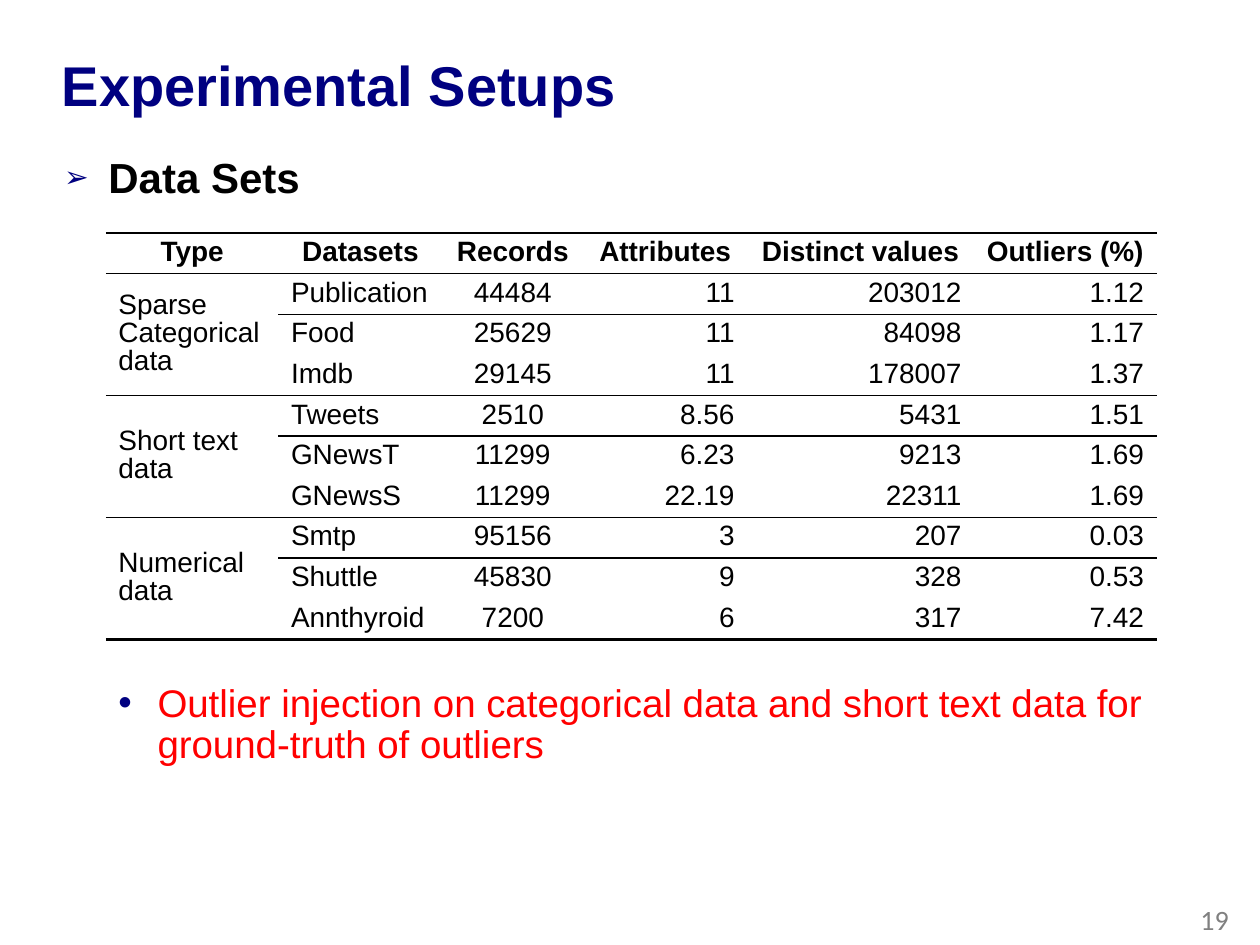
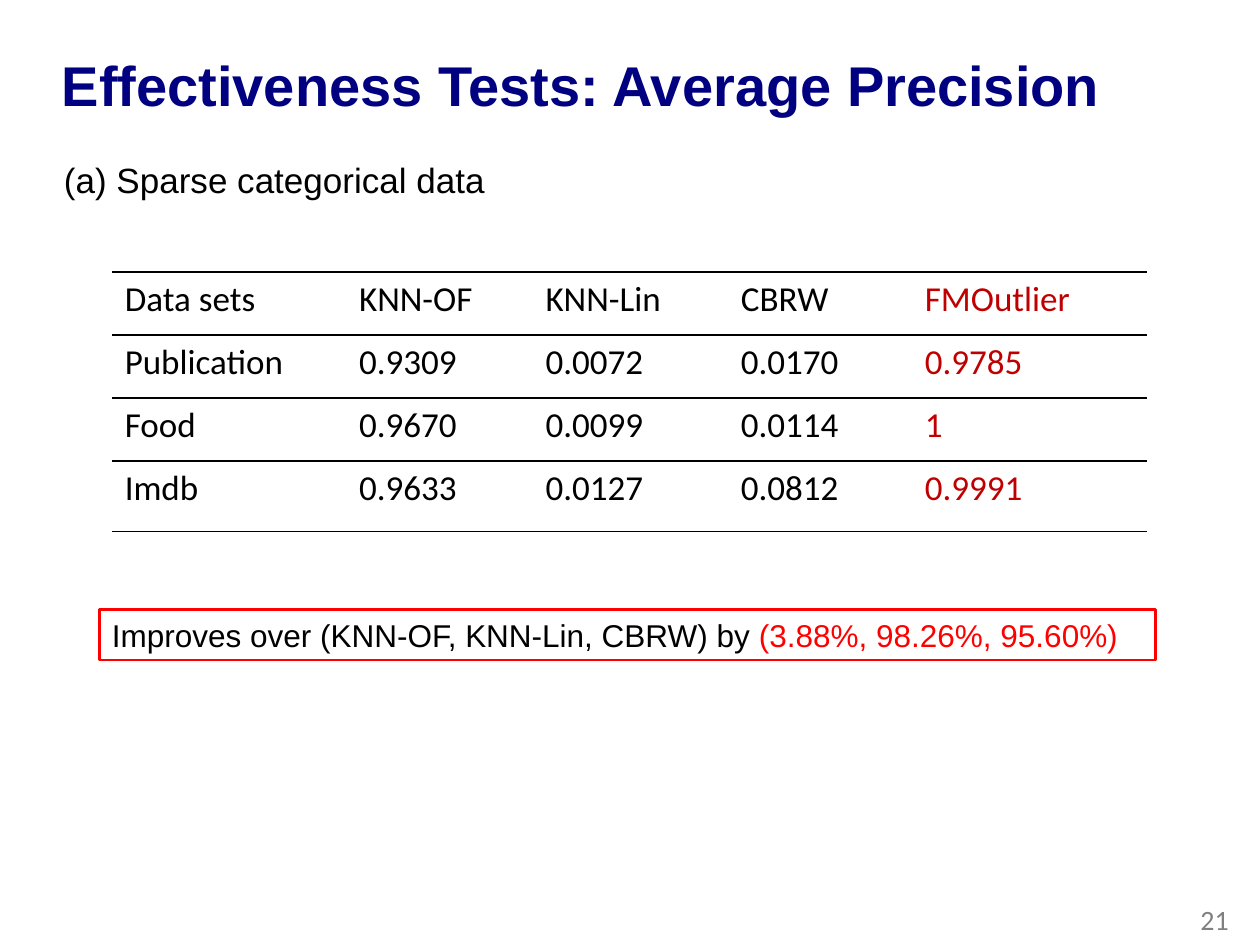
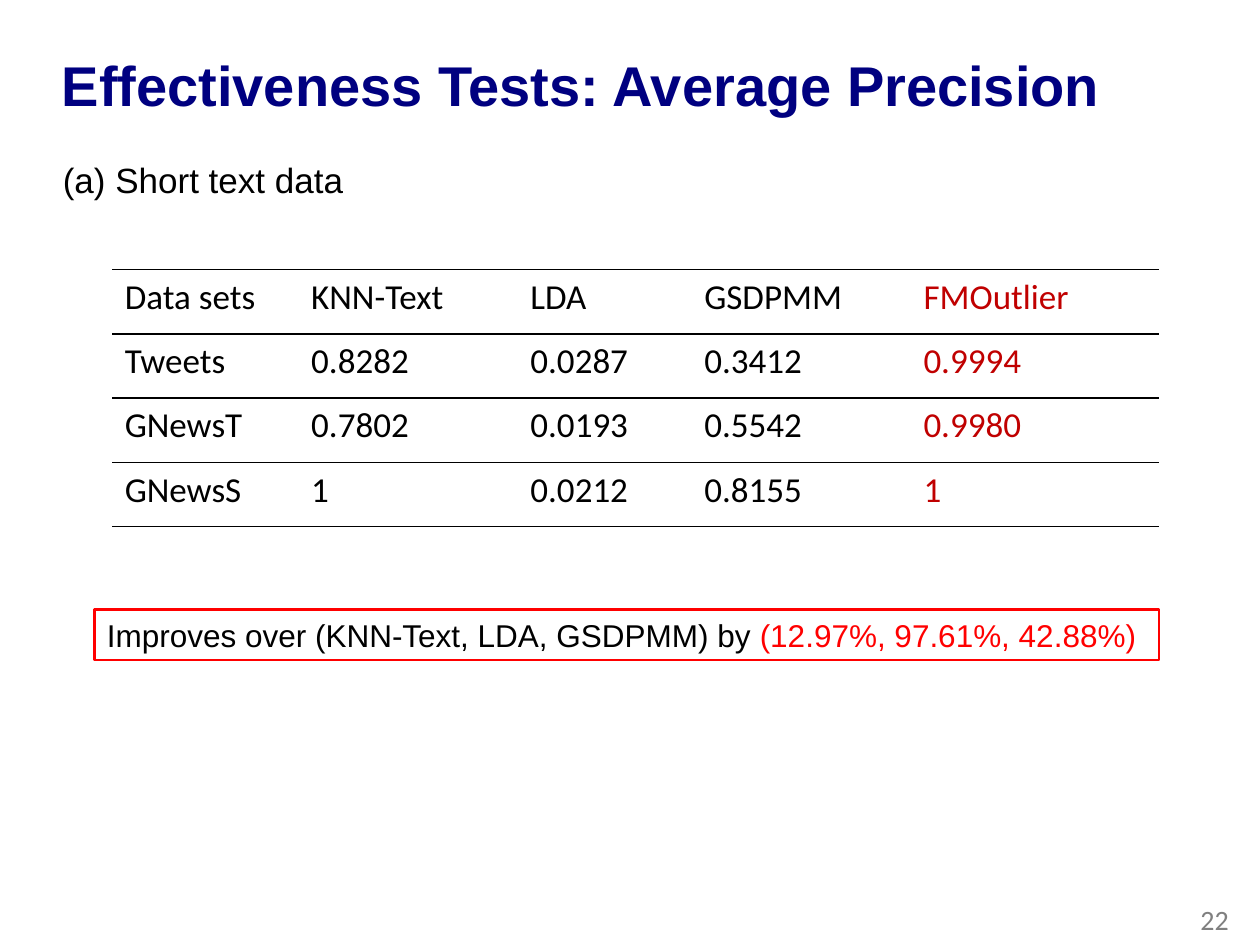
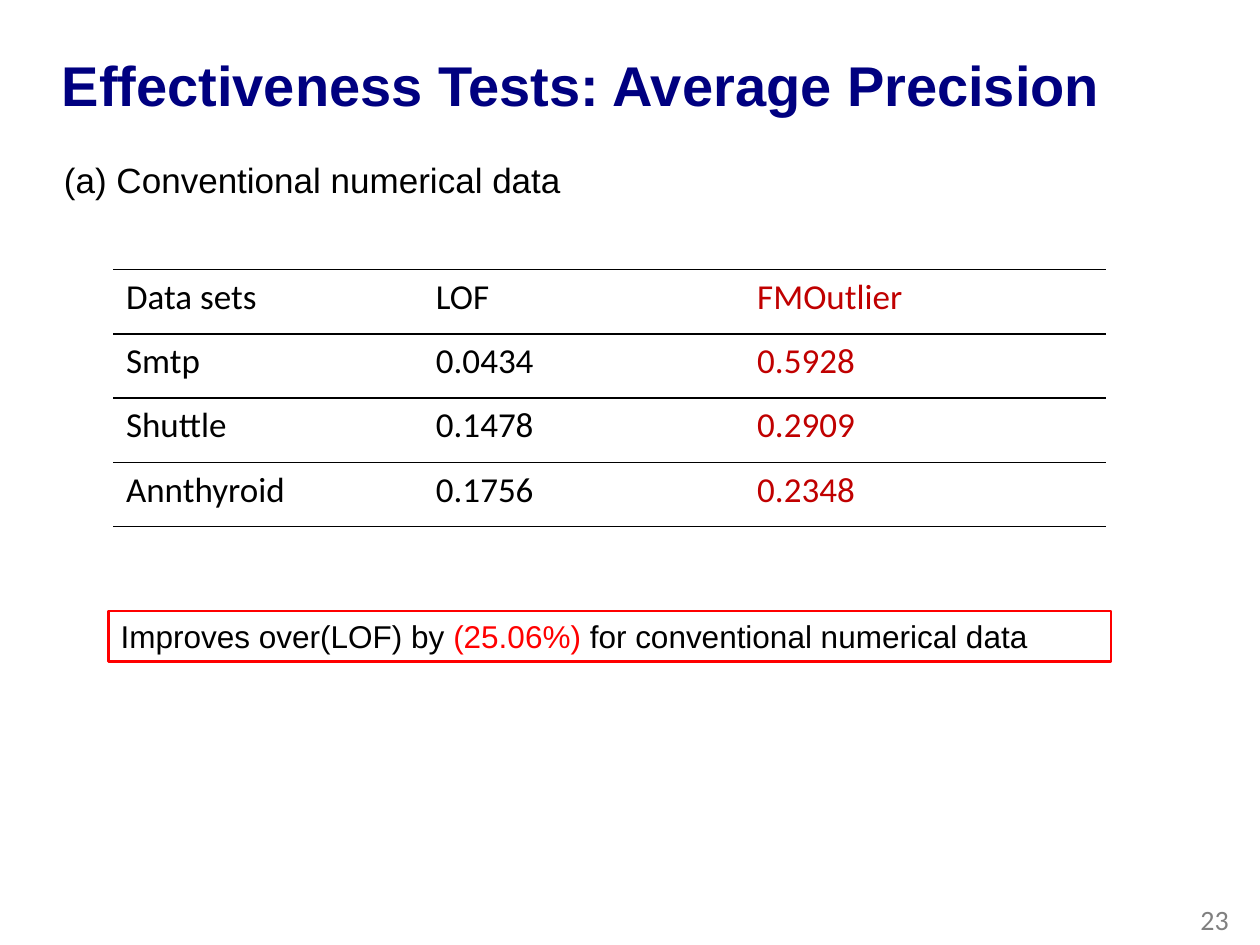
from itertools import takewhile

from lxml import etree
from pptx import Presentation
from pptx.dml.color import RGBColor
from pptx.enum import shapes, text
from pptx.oxml import ns
from pptx.util import Inches, Pt

NAVY = RGBColor(0x00, 0x00, 0x80)
BLACK = RGBColor(0x00, 0x00, 0x00)
RED = RGBColor(0xFF, 0x00, 0x00)
DARK_RED = RGBColor(0xC0, 0x00, 0x00)
GRAY = RGBColor(0x80, 0x80, 0x80)
LEFT, CENTER, RIGHT = text.PP_ALIGN.LEFT, text.PP_ALIGN.CENTER, text.PP_ALIGN.RIGHT
TOP, MIDDLE = text.MSO_ANCHOR.TOP, text.MSO_ANCHOR.MIDDLE
TWO_CONTENT, TITLE_ONLY = 3, 5
NO_STYLE_NO_GRID = "{2D5ABB26-0587-4C30-8999-92F81FD0307C}"

# None continues the cell above
DATA_SETS = [
    ("Type", "Datasets", "Records", "Attributes", "Distinct values", "Outliers (%)"),
    ("Sparse Categorical data", "Publication", "44484", "11", "203012", "1.12"),
    (None, "Food", "25629", "11", "84098", "1.17"),
    (None, "Imdb", "29145", "11", "178007", "1.37"),
    ("Short text data", "Tweets", "2510", "8.56", "5431", "1.51"),
    (None, "GNewsT", "11299", "6.23", "9213", "1.69"),
    (None, "GNewsS", "11299", "22.19", "22311", "1.69"),
    ("Numerical data", "Smtp", "95156", "3", "207", "0.03"),
    (None, "Shuttle", "45830", "9", "328", "0.53"),
    (None, "Annthyroid", "7200", "6", "317", "7.42"),
]
DATA_SET_COLS = [1.37, 1.3, 1.12, 1.3, 1.8, 1.45]
DATA_SET_ALIGNS = [LEFT, LEFT, CENTER, RIGHT, RIGHT, RIGHT]
DATA_SET_RULES = {0: 1.5, 1: 1, 4: 1, 7: 1, 10: 1.5}

PRECISION_TITLE = "Effectiveness Tests: Average Precision"
PRECISION_RULES = {0: 1, 1: 1, 2: 1, 4: 1}
PRECISION_TESTS = [
    dict(page=21, caption="(a) Sparse categorical data", caption_left=0.41,
         at=(0.89, 2.16), cols=[1.86, 1.48, 1.55, 1.46, 1.86],
         heights=[0.5, 0.5, 0.5, 0.56],
         rows=[("Data sets", "KNN-OF", "KNN-Lin", "CBRW", "FMOutlier"),
               ("Publication", "0.9309", "0.0072", "0.0170", "0.9785"),
               ("Food", "0.9670", "0.0099", "0.0114", "1"),
               ("Imdb", "0.9633", "0.0127", "0.0812", "0.9991")],
         box=(0.79, 4.84, 8.38, 0.4),
         finding=[("Improves over (KNN-OF, KNN-Lin, CBRW) by ", BLACK),
                  ("(3.88%, 98.26%, 95.60%)", RED)]),
    dict(page=22, caption="(a) Short text data", caption_left=0.4,
         at=(0.89, 2.14), cols=[1.48, 1.74, 1.38, 1.74, 1.97],
         heights=[0.51] * 4,
         rows=[("Data sets", "KNN-Text", "LDA", "GSDPMM", "FMOutlier"),
               ("Tweets", "0.8282", "0.0287", "0.3412", "0.9994"),
               ("GNewsT", "0.7802", "0.0193", "0.5542", "0.9980"),
               ("GNewsS", "1", "0.0212", "0.8155", "1")],
         box=(0.75, 4.84, 8.45, 0.4),
         finding=[("Improves over (KNN-Text, LDA, GSDPMM) by ", BLACK),
                  ("(12.97%, 97.61%, 42.88%)", RED)]),
    dict(page=23, caption="(a) Conventional numerical data", caption_left=0.41,
         at=(0.9, 2.14), cols=[2.46, 2.55, 2.87],
         heights=[0.51] * 4,
         rows=[("Data sets", "LOF", "FMOutlier"),
               ("Smtp", "0.0434", "0.5928"),
               ("Shuttle", "0.1478", "0.2909"),
               ("Annthyroid", "0.1756", "0.2348")],
         box=(0.86, 4.85, 7.96, 0.4),
         finding=[("Improves over(LOF) by ", BLACK), ("(25.06%) ", RED),
                  ("for conventional numerical data", BLACK)]),
]


def write(tf, runs, size=20, font="Arial", color=BLACK, bold=False,
          align=LEFT, anchor=TOP, spacing=None):
    """Fill the first paragraph; runs is a string or a list of (text, colour)."""
    tf.word_wrap = True
    tf.vertical_anchor = anchor
    p = tf.paragraphs[0]
    p.alignment = align
    p.space_before = Pt(0)
    if spacing:
        p.line_spacing = spacing
    for words, run_color in [(runs, color)] if isinstance(runs, str) else runs:
        r = p.add_run()
        r.text = words
        r.font.name, r.font.size, r.font.bold = font, Pt(size), bold
        r.font.color.rgb = run_color
    return p


def place(sp, *at):
    sp.left, sp.top, sp.width, sp.height = map(Inches, at)
    return sp.text_frame


def add_text(s, at, runs, **fmt):
    return write(s.shapes.add_textbox(*map(Inches, at)).text_frame, runs, **fmt)


def add_list_item(sp, at, words, char, margin, hang, bullet_size=100, **fmt):
    tf = place(sp, *at)
    tf.auto_size = text.MSO_AUTO_SIZE.NONE
    p = write(tf, words, spacing=0.9, **fmt)
    pPr = p._p.get_or_add_pPr()
    pPr.set("marL", str(Inches(margin)))
    pPr.set("indent", str(-Inches(hang)))
    color = etree.SubElement(pPr, ns.qn("a:buClr"))
    etree.SubElement(color, ns.qn("a:srgbClr"), val=str(NAVY))
    etree.SubElement(pPr, ns.qn("a:buSzPct"), val=str(bullet_size * 1000))
    etree.SubElement(pPr, ns.qn("a:buFont"), typeface="Arial")
    etree.SubElement(pPr, ns.qn("a:buChar"), char=char)


def add_border(cell, side, width):
    ln = etree.SubElement(cell._tc.get_or_add_tcPr(), ns.qn("a:" + side), w=str(Pt(width)))
    fill = etree.SubElement(ln, ns.qn("a:solidFill"))
    etree.SubElement(fill, ns.qn("a:srgbClr"), val=str(BLACK))


def add_ruled_table(s, at, cols, heights, rows, rules, cell_format):
    """rules maps a row edge to its line width; cell_format(row, col) gives text options."""
    size = (sum(cols), sum(heights))
    tbl = s.shapes.add_table(len(rows), len(cols), *map(Inches, at + size)).table
    tbl.first_row = tbl.horz_banding = False
    tbl._tbl.tblPr.find(ns.qn("a:tableStyleId")).text = NO_STYLE_NO_GRID
    for col, width in zip(tbl.columns, cols):
        col.width = Inches(width)
    for row, height in zip(tbl.rows, heights):
        row.height = Inches(height)
    for r, row in enumerate(rows):
        for c, words in enumerate(row):
            cell = tbl.cell(r, c)
            span = 1
            if words is not None:
                span += len(list(takewhile(lambda below: below[c] is None, rows[r + 1:])))
                if span > 1:
                    cell.merge(tbl.cell(r + span - 1, c))
                fmt = cell_format(r, c)
                cell.vertical_anchor = fmt.pop("anchor", TOP)
                write_cell(cell, words, **fmt)
            for side, edge in (("lnT", r), ("lnB", r + span)):
                if edge in rules:
                    add_border(cell, side, rules[edge])
            cell.fill.background()


def write_cell(cell, words, **fmt):
    anchor = cell.vertical_anchor
    write(cell.text_frame, words, **fmt)
    cell.vertical_anchor = anchor
    # wrapping and anchoring belong to the cell, not to its text body
    cell.text_frame._txBody.bodyPr.attrib.clear()


def add_slide(prs, layout, title, page):
    s = prs.slides.add_slide(prs.slide_layouts[layout])
    tf = place(s.shapes.title, 0.39, 0.21, 9.18, 0.99)
    tf.auto_size = text.MSO_AUTO_SIZE.NONE
    write(tf, title, size=32, color=NAVY, bold=True, anchor=MIDDLE, spacing=0.9)
    add_text(s, (7.6, 7.1, 2.25, 0.4), str(page), size=16, font="Calibri",
             color=GRAY, align=RIGHT, anchor=MIDDLE)
    return s


def add_setup_slide(prs):
    def cell_format(r, c):
        return dict(size=16, bold=r == 0, spacing=Pt(16), anchor=MIDDLE,
                    align=CENTER if r == 0 else DATA_SET_ALIGNS[c])

    s = add_slide(prs, TWO_CONTENT, "Experimental Setups", 19)
    heading, note = s.placeholders[1], s.placeholders[2]
    add_list_item(heading, (0.41, 1.2, 9.18, 0.49), "Data Sets", "➢", 0.35, 0.35,
                  bullet_size=70, size=24, bold=True)
    add_list_item(note, (0.56, 5.38, 9.44, 1.05),
                  "Outlier injection on categorical data and short text data for "
                  "ground-truth of outliers", "•", 0.59, 0.31, size=22, color=RED)
    add_ruled_table(s, (0.84, 1.85), DATA_SET_COLS, [0.32] * len(DATA_SETS), DATA_SETS,
                    DATA_SET_RULES, cell_format)


def add_precision_slide(prs, test):
    last = len(test["cols"]) - 1
    s = add_slide(prs, TITLE_ONLY, PRECISION_TITLE, test["page"])
    add_text(s, (test["caption_left"], 1.21, 9.44, 0.44), test["caption"])
    add_ruled_table(s, test["at"], test["cols"], test["heights"], test["rows"],
                    PRECISION_RULES,
                    lambda r, c: dict(font="Calibri", color=DARK_RED if c == last else BLACK))
    box = s.shapes.add_shape(shapes.MSO_SHAPE.RECTANGLE, *map(Inches, test["box"]))
    box.shadow.inherit = False
    box.fill.background()
    box.line.color.rgb = RED
    box.line.width = Pt(1.5)
    write(box.text_frame, test["finding"], size=18)


def main():
    prs = Presentation()
    prs.slide_width, prs.slide_height = Inches(10), Inches(7.5)
    add_setup_slide(prs)
    for test in PRECISION_TESTS:
        add_precision_slide(prs, test)
    prs.save("out.pptx")


if __name__ == "__main__":
    main()
